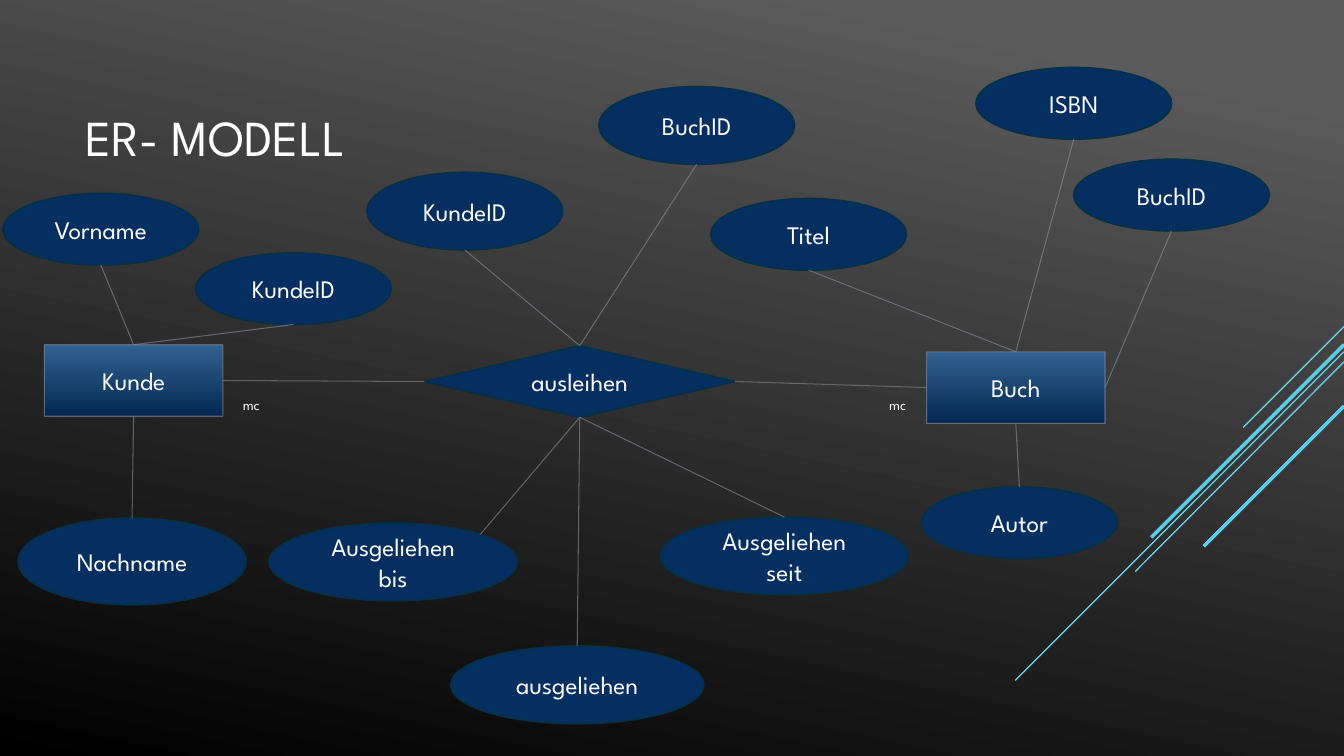
from lxml import etree
from pptx import Presentation
from pptx.dml.color import RGBColor
from pptx.enum.shapes import MSO_CONNECTOR, MSO_SHAPE
from pptx.enum.text import MSO_ANCHOR, MSO_AUTO_SIZE, PP_ALIGN
from pptx.oxml.ns import qn
from pptx.util import Inches, Pt

WHITE = RGBColor(0xFF, 0xFF, 0xFF)
BLACK = RGBColor(0x00, 0x00, 0x00)
GREY = RGBColor(0x5B, 0x5B, 0x5B)
CYAN = RGBColor(0x22, 0xC5, 0xED)
NAVY = RGBColor(0x05, 0x2F, 0x61)
NAVY_EDGE = RGBColor(0x04, 0x31, 0x48)
BLUE_TOP = RGBColor(0x31, 0x61, 0x90)
BLUE_BOTTOM = RGBColor(0x04, 0x28, 0x53)
STEEL = RGBColor(0x89, 0x91, 0x9C)
MID_GREY = RGBColor(0x89, 0x89, 0x89)

SIDES = {
    "top": (0.5, 0),
    "bottom": (0.5, 1),
    "left": (0, 0.5),
    "right": (1, 0.5),
    "top_right": (0.85, 0.15),
}

RAYS = [
    (3.24, 12.33, 4.24, 0.75),
    (3.49, 10.07, 6.75, 0.75),
    (3.59, 11.26, 5.67, 0.75),
    (3.42, 11.42, 5.33, 2.25),
    (4.03, 11.94, 5.42, 2.25),
]

ATTRIBUTES = {
    "vorname": ("Vorname", 0.03, 1.92, 1.94, 0.71),
    "nachname": ("Nachname", 0.18, 5.14, 2.26, 0.86),
    "kunde_id": ("KundeID", 1.94, 2.51, 1.94, 0.71),
    "isbn": ("ISBN", 9.68, 0.67, 1.94, 0.71),
    "titel": ("Titel", 7.05, 1.97, 1.94, 0.71),
    "autor": ("Autor", 9.14, 4.83, 1.94, 0.71),
    "buch_id": ("BuchID", 10.65, 1.58, 1.94, 0.71),
    "leih_kunde_id": ("KundeID", 3.64, 1.71, 1.94, 0.77),
    "leih_buch_id": ("BuchID", 5.94, 0.86, 1.94, 0.77),
    "seit": ("Ausgeliehen seit", 6.55, 5.13, 2.46, 0.77),
    "bis": ("Ausgeliehen bis", 2.67, 5.19, 2.46, 0.77),
    "ausgeliehen": ("ausgeliehen", 4.47, 6.41, 2.51, 0.77),
}

LINKS = [
    ("kunde", "top", "vorname", "bottom"),
    ("kunde", "bottom", "nachname", "top"),
    ("kunde", "top", "kunde_id", "bottom"),
    ("buch", "bottom", "autor", "top"),
    ("buch", "top", "titel", "bottom"),
    ("buch", "top", "isbn", "bottom"),
    ("buch", "right", "buch_id", "bottom"),
    ("ausleihen", "top", "leih_kunde_id", "bottom"),
    ("ausleihen", "top", "leih_buch_id", "bottom"),
    ("ausleihen", "bottom", "bis", "top_right"),
    ("ausleihen", "bottom", "seit", "top"),
    ("ausleihen", "bottom", "ausgeliehen", "top"),
]


def write(tf, text, size=18, align=PP_ALIGN.CENTER, anchor=MSO_ANCHOR.MIDDLE):
    tf.word_wrap = True
    tf.vertical_anchor = anchor
    p = tf.paragraphs[0]
    p.alignment = align
    r = p.add_run()
    r.text = text
    r.font.name = "League Spartan"
    r.font.size = Pt(size)
    r.font.color.rgb = WHITE


def gradient(fill, angle, *stops):
    fill.gradient()
    fill.gradient_angle = angle
    for stop, (position, color) in zip(fill.gradient_stops, stops):
        stop.position = position
        stop.color.rgb = color


def style_line(line, color, width, opacity=100):
    line.color.rgb = color
    line.width = Pt(width)
    if opacity < 100:
        clr = line.fill._xPr.find(".//" + qn("a:srgbClr"))
        etree.SubElement(clr, qn("a:alpha"), val=str(opacity * 1000))


class Diagram:
    def __init__(self, prs):
        self.s = prs.slides.add_slide(prs.slide_layouts[6])
        gradient(self.s.background.fill, 258, (0.1, GREY), (1, BLACK))

    def line(self, x1, y1, x2, y2, color, width=0.75, opacity=100):
        sp = self.s.shapes.add_connector(
            MSO_CONNECTOR.STRAIGHT, Inches(x1), Inches(y1), Inches(x2), Inches(y2))
        style_line(sp.line, color, width, opacity)
        etree.SubElement(sp._element.spPr, qn("a:effectLst"))

    def node(self, kind, text, x, y, w, h):
        sp = self.s.shapes.add_shape(kind, Inches(x), Inches(y), Inches(w), Inches(h))
        sp.shadow.inherit = False
        write(sp.text_frame, text)
        return sp

    def entity(self, *args):
        sp = self.node(MSO_SHAPE.RECTANGLE, *args)
        gradient(sp.fill, 270, (0, BLUE_TOP), (1, BLUE_BOTTOM))
        style_line(sp.line, STEEL, 0.75, 60)
        return sp

    def solid(self, kind, *args):
        sp = self.node(kind, *args)
        sp.fill.solid()
        sp.fill.fore_color.rgb = NAVY
        style_line(sp.line, NAVY_EDGE, 1.25)
        return sp

    def link(self, start, start_side, end, end_side, color=STEEL):
        points = []
        for sp, side in ((start, start_side), (end, end_side)):
            fx, fy = SIDES[side]
            points += [(sp.left + fx * sp.width) / Inches(1),
                       (sp.top + fy * sp.height) / Inches(1)]
        self.line(*points, color, opacity=60)

    def label(self, text, x, y, w, h, size, anchor=MSO_ANCHOR.TOP, grow=False):
        sp = self.s.shapes.add_textbox(Inches(x), Inches(y), Inches(w), Inches(h))
        write(sp.text_frame, text, size, PP_ALIGN.LEFT, anchor)
        if grow:
            sp.text_frame.auto_size = MSO_AUTO_SIZE.SHAPE_TO_FIT_TEXT


def main():
    prs = Presentation()
    prs.slide_width = Inches(13.33)
    prs.slide_height = Inches(7.5)
    d = Diagram(prs)

    for color, opacity in ((WHITE, 100), (CYAN, 80)):
        for y1, x2, y2, width in RAYS:
            d.line(13.33, y1, x2, y2, color, width, opacity)
    d.label("ER- MODELL", 0.75, 0.53, 9.33, 1.65, 36, MSO_ANCHOR.MIDDLE)

    nodes = {
        "kunde": d.entity("Kunde", 0.44, 3.42, 1.77, 0.71),
        "ausleihen": d.solid(MSO_SHAPE.DIAMOND, "ausleihen", 4.21, 3.43, 3.08, 0.71),
        "buch": d.entity("Buch", 9.19, 3.49, 1.77, 0.71),
    }
    for key, args in ATTRIBUTES.items():
        nodes[key] = d.solid(MSO_SHAPE.OVAL, *args)

    d.link(nodes["kunde"], "right", nodes["ausleihen"], "left", MID_GREY)
    d.link(nodes["buch"], "left", nodes["ausleihen"], "right", MID_GREY)
    for start, start_side, end, end_side in LINKS:
        d.link(nodes[start], start_side, nodes[end], end_side)

    for x, w in ((2.31, 0.53), (8.72, 0.49)):
        d.label("mc", x, 3.88, w, 0.28, 10.5, grow=True)

    prs.save("out.pptx")


if __name__ == "__main__":
    main()
